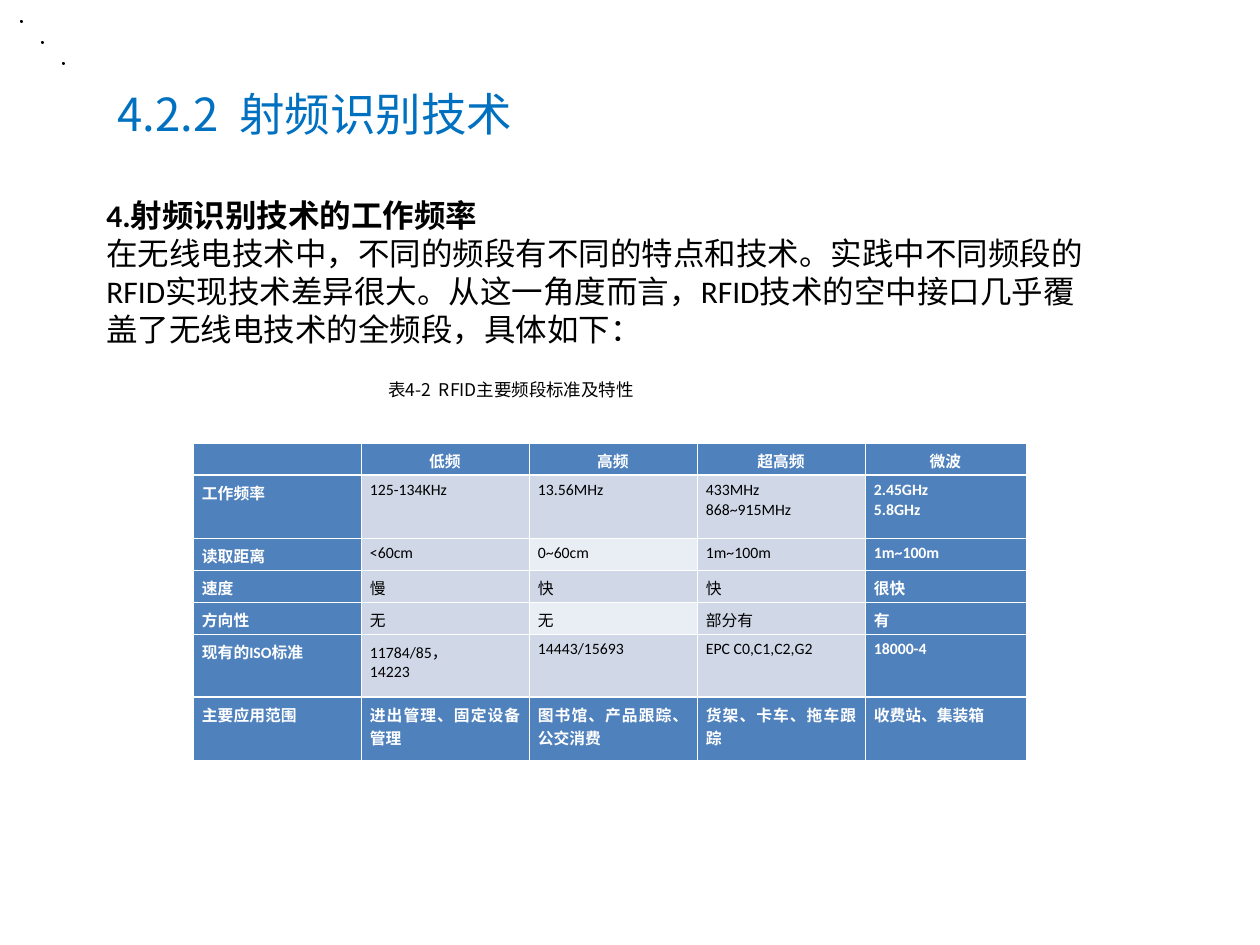
from lxml.etree import SubElement
from pptx import Presentation
from pptx.dml.color import RGBColor
from pptx.enum.shapes import MSO_SHAPE
from pptx.enum.text import MSO_ANCHOR, PP_ALIGN
from pptx.oxml.ns import qn
from pptx.util import Inches, Pt

PX_PER_INCH = 126
TITLE_BLUE = RGBColor(0x00, 0x70, 0xC0)
TABLE_BLUE = RGBColor(0x4F, 0x81, 0xBD)
BAND = RGBColor(0xD0, 0xD8, 0xE8)
LIGHT_BAND = RGBColor(0xE9, 0xED, 0xF4)
BLACK = RGBColor(0x00, 0x00, 0x00)
WHITE = RGBColor(0xFF, 0xFF, 0xFF)
LATIN = "Calibri"
CJK = "Noto Sans CJK SC"

HEADING = "4.射频识别技术的工作频率"
EXPLANATION = (
    "在无线电技术中，不同的频段有不同的特点和技术。实践中不同频段的RFID实现技术差异很大。"
    "从这一角度而言，RFID技术的空中接口几乎覆盖了无线电技术的全频段，具体如下："
)
BANDS = [
    ["", "低频", "高频", "超高频", "微波"],
    ["工作频率", "125-134KHz", "13.56MHz", "433MHz\n868~915MHz", "2.45GHz\n5.8GHz"],
    ["读取距离", "<60cm", "0~60cm", "1m~100m", "1m~100m"],
    ["速度", "慢", "快", "快", "很快"],
    ["方向性", "无", "无", "部分有", "有"],
    ["现有的ISO标准", "11784/85，\n14223", "14443/15693", "EPC C0,C1,C2,G2", "18000-4"],
    ["主要应用范围", "进出管理、固定设备管理", "图书馆、产品跟踪、公交消费",
     "货架、卡车、拖车跟踪", "收费站、集装箱"],
]
COLUMN_WIDTHS = [168, 168, 168, 168, 161]
ROW_HEIGHTS = [32, 63, 32, 32, 32, 63, 63]
LIGHT_CELLS = {(2, 2), (4, 2)}
HEAVY_RULES = {1, 6}  # rows with a thicker rule above them


def px(length):
    return Inches(length / PX_PER_INCH)


def emu_box(box):
    return [px(length) for length in box]


def format_runs(paragraph, size, color, bold=False, latin=LATIN):
    for run in paragraph.runs:
        font = run.font
        font.size, font.bold, font.name = Pt(size), bold, latin
        font.color.rgb = color
        SubElement(run._r.get_or_add_rPr(), qn("a:ea")).set("typeface", CJK)


def add_title(slide, box):
    title = slide.shapes.title
    title.left, title.top, title.width, title.height = emu_box(box)
    frame = title.text_frame
    frame.text = "4.2.2  射频识别技术"
    frame.vertical_anchor = MSO_ANCHOR.MIDDLE
    frame.paragraphs[0].alignment = PP_ALIGN.LEFT
    format_runs(frame.paragraphs[0], 26, TITLE_BLUE, latin=CJK)


def add_body(slide, box):
    frame = slide.shapes.add_textbox(*emu_box(box)).text_frame
    frame.word_wrap = True
    frame.text = f"{HEADING}\n{EXPLANATION}"
    for paragraph, bold in zip(frame.paragraphs, (True, False)):
        paragraph.line_spacing = Pt(21.6)
        format_runs(paragraph, 18, BLACK, bold)


def add_corner_dots(slide, box):
    left, top, step, size = box
    for index in range(3):
        offset = index * step
        dot = slide.shapes.add_shape(
            MSO_SHAPE.RECTANGLE, *emu_box((left + offset, top + offset, size, size)))
        dot.shadow.inherit = False
        dot.fill.solid()
        dot.fill.fore_color.rgb = TABLE_BLUE
        dot.line.color.rgb = BLACK
        dot.line.width = Pt(0.75)


def set_borders(cell, row):
    properties = cell._tc.get_or_add_tcPr()
    heavy_sides = {"T": row in HEAVY_RULES, "B": row + 1 in HEAVY_RULES}
    for side in "LRTB":
        width = Pt(1.47 if heavy_sides.get(side) else 0.45)
        line = SubElement(properties, qn(f"a:ln{side}"), w=str(width))
        fill = SubElement(line, qn("a:solidFill"))
        SubElement(fill, qn("a:srgbClr"), val=str(WHITE))


def fill_cell(cell, row, column, text):
    is_edge = row in (0, len(BANDS) - 1) or column in (0, len(COLUMN_WIDTHS) - 1)
    set_borders(cell, row)
    cell.fill.solid()
    data_fill = LIGHT_BAND if (row, column) in LIGHT_CELLS else BAND
    cell.fill.fore_color.rgb = TABLE_BLUE if is_edge else data_fill
    cell.margin_left = cell.margin_right = px(9)
    cell.margin_top, cell.margin_bottom = px(6), px(2)
    cell.vertical_anchor = MSO_ANCHOR.TOP if row else MSO_ANCHOR.MIDDLE
    cell.text_frame.text = text
    for paragraph in cell.text_frame.paragraphs:
        paragraph.alignment = PP_ALIGN.JUSTIFY if row else PP_ALIGN.CENTER
        format_runs(paragraph, 9, WHITE if is_edge else BLACK, is_edge)
        if not text:  # keeps the empty corner cell from stretching its row
            paragraph._p.get_or_add_endParaRPr().set("sz", "900")


def add_band_table(slide, left, top):
    box = (left, top, sum(COLUMN_WIDTHS), sum(ROW_HEIGHTS))
    table = slide.shapes.add_table(
        len(ROW_HEIGHTS), len(COLUMN_WIDTHS), *emu_box(box)).table
    for column, width in zip(table.columns, COLUMN_WIDTHS):
        column.width = px(width)
    for row, height in zip(table.rows, ROW_HEIGHTS):
        row.height = px(height)
    for row, texts in enumerate(BANDS):
        for column, text in enumerate(texts):
            fill_cell(table.cell(row, column), row, column, text)


def add_caption(slide, box):
    frame = slide.shapes.add_textbox(*emu_box(box)).text_frame
    frame.word_wrap = False
    frame.vertical_anchor = MSO_ANCHOR.MIDDLE
    frame.text = "表4-2  RFID主要频段标准及特性"
    frame.paragraphs[0].alignment = PP_ALIGN.CENTER
    format_runs(frame.paragraphs[0], 10, BLACK, latin=CJK)


def main():
    presentation = Presentation()
    presentation.slide_width, presentation.slide_height = px(1260), px(945)
    slide = presentation.slides.add_slide(presentation.slide_layouts[5])
    add_title(slide, (105, 60, 1024, 107))
    add_body(slide, (94, 190, 1012, 164))
    add_corner_dots(slide, (21, 21, 21, 1))
    add_band_table(slide, 193, 443)
    add_caption(slide, (372, 373, 278, 34))
    presentation.save("out.pptx")


if __name__ == "__main__":
    main()
